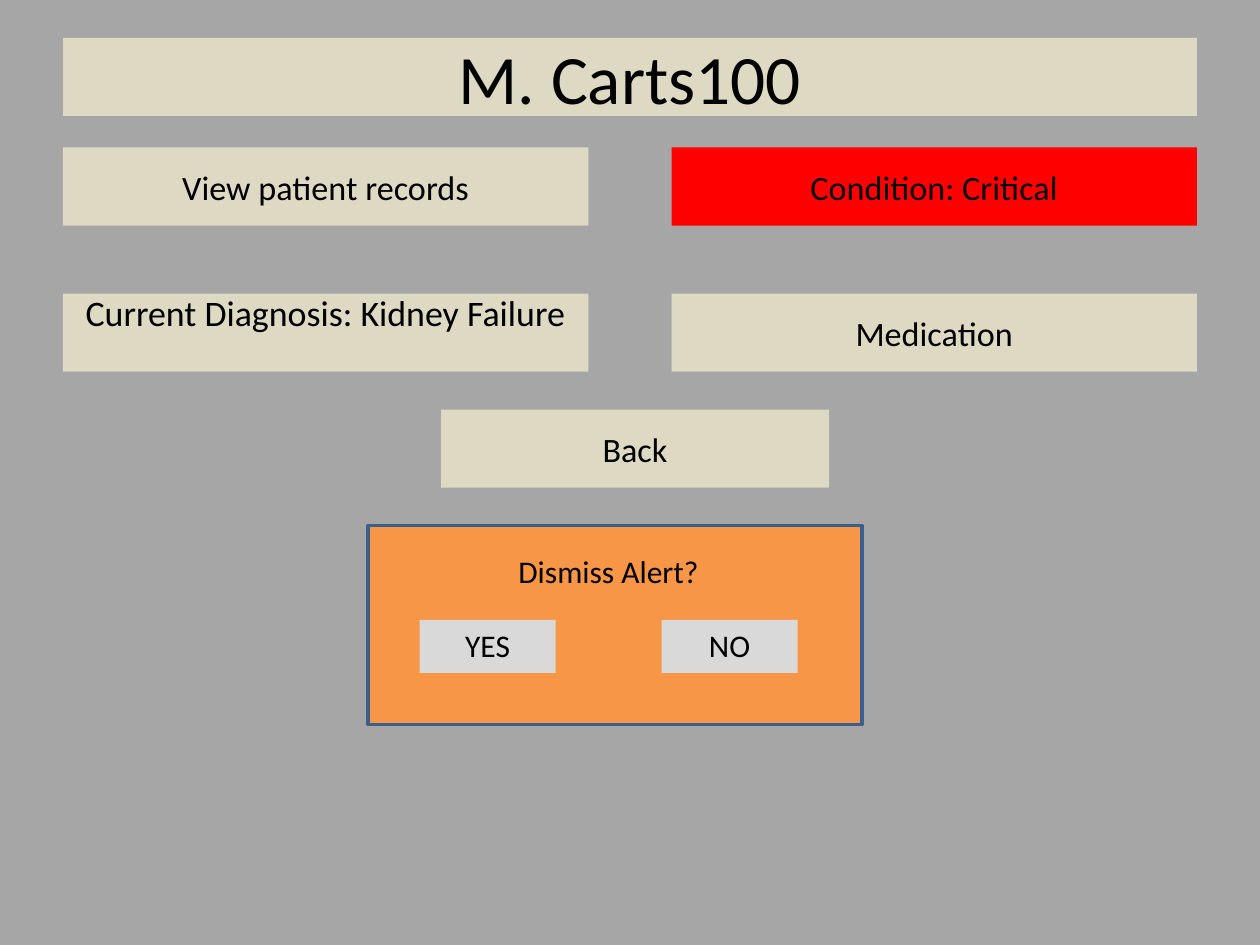
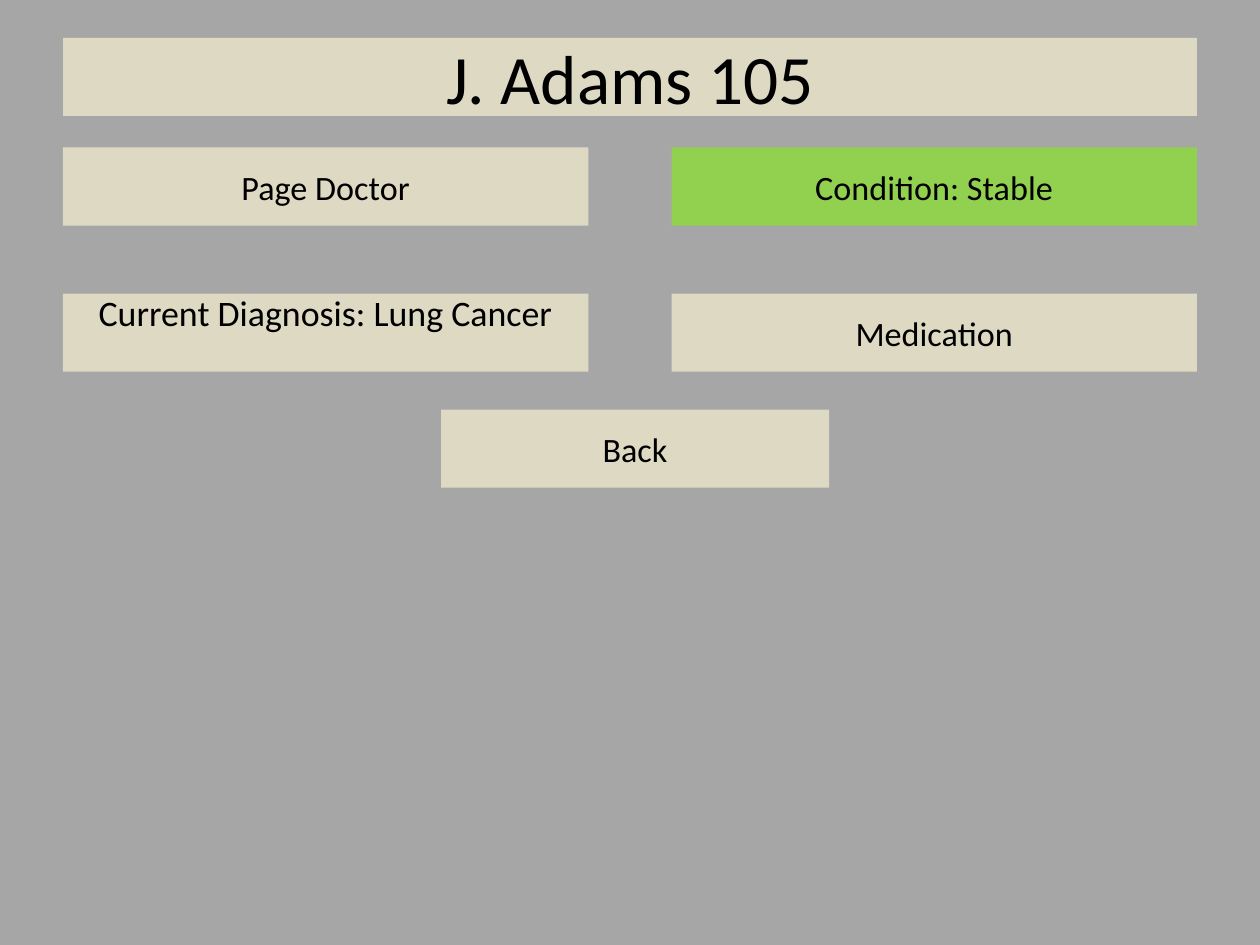
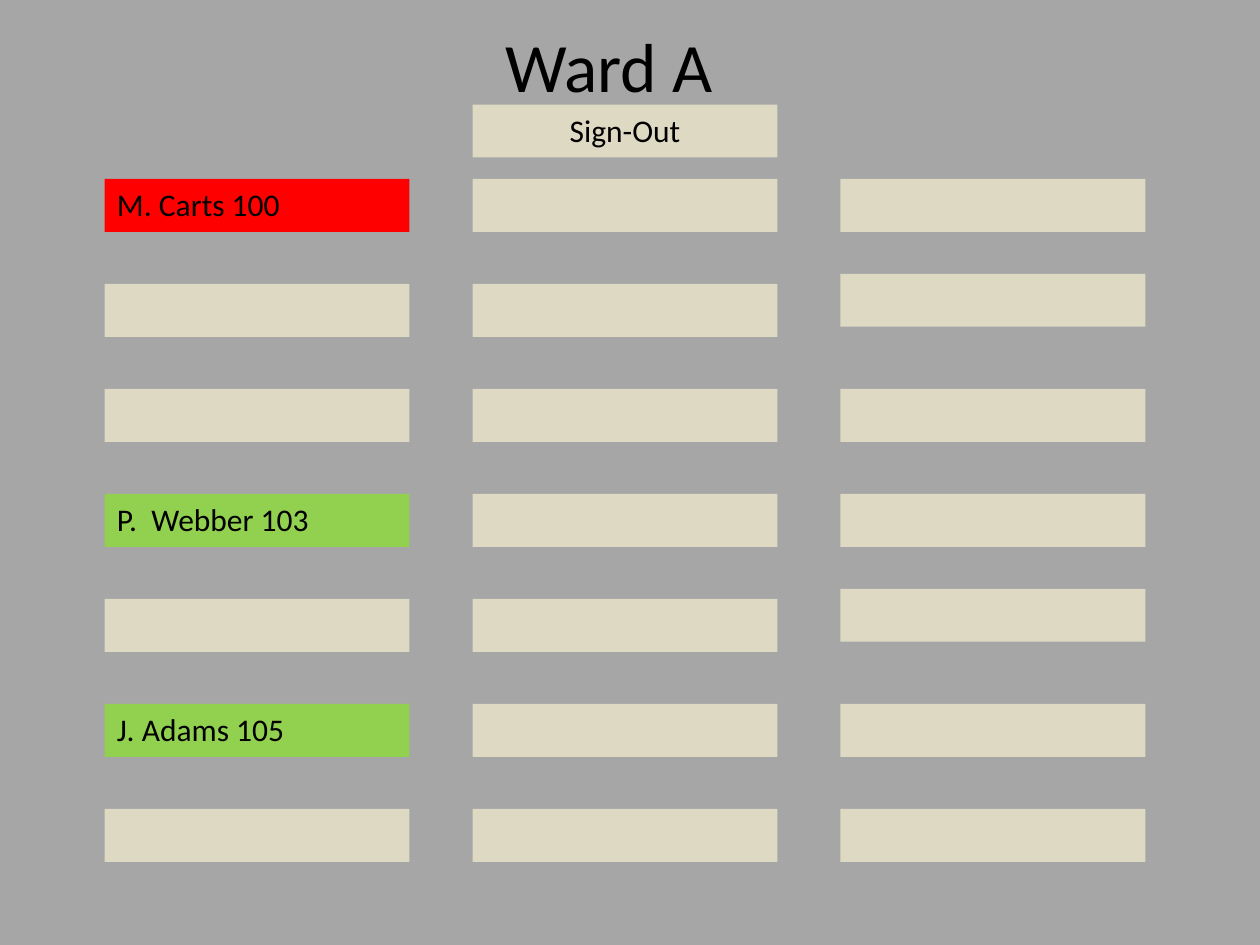
import pptx
import pptx.dml.color
import pptx.enum.shapes
import pptx.enum.text
import pptx.util

Inches = pptx.util.Inches
Anchor = pptx.enum.text.MSO_ANCHOR
Align = pptx.enum.text.PP_ALIGN
AutoSize = pptx.enum.text.MSO_AUTO_SIZE

# Shared look
BACKGROUND, PANEL, TEXT = "A6A6A6", "DDD9C3", "000000"
CRITICAL, STABLE = "FF0000", "92D050"
ALERT, ALERT_BORDER, ALERT_BUTTON = "F79646", "3A5F8C", "D9D9D9"
FONT = "Calibri"
TITLE_SIZE, MENU_SIZE, DIAGNOSIS_SIZE, LABEL_SIZE = 39.6, 19.5, 20.5, 18
BUTTON_HEIGHT = 0.62
LABEL_HEIGHT = 0.42
LABEL_FRAME = {"vertical_anchor": Anchor.TOP, "auto_size": AutoSize.SHAPE_TO_FIT_TEXT}
# Lifts the diagnosis line to the upper half of its button
DIAGNOSIS_FRAME = {"margin_top": 0, "margin_bottom": Inches(0.33)}


def color(value):
    return pptx.dml.color.RGBColor.from_string(value)


def paint(fill, value):
    fill.solid()
    fill.fore_color.rgb = color(value)


def set_attributes(target, values):
    for name, value in values.items():
        setattr(target, name, value)


def write(shape, text, size, align=Align.CENTER, frame_format=None):
    frame = shape.text_frame
    set_attributes(frame, {"word_wrap": True, "vertical_anchor": Anchor.MIDDLE,
                           "auto_size": AutoSize.NONE, **(frame_format or {})})
    paragraph = frame.paragraphs[0]
    paragraph.alignment = align
    run = paragraph.add_run()
    run.text = text
    set_attributes(run.font, {"name": FONT, "size": pptx.util.Pt(size)})
    run.font.color.rgb = color(TEXT)


def add_panel(slide, box, fill, border=None):
    shape = slide.shapes.add_shape(pptx.enum.shapes.MSO_SHAPE.RECTANGLE, *map(Inches, box))
    shape.shadow.inherit = False
    paint(shape.fill, fill)
    if border:
        shape.line.color.rgb = color(border)
        shape.line.width = pptx.util.Pt(2)
    else:
        shape.line.fill.background()
    return shape


def add_button(slide, box, text, fill=PANEL, size=MENU_SIZE, **text_format):
    write(add_panel(slide, box, fill), text, size, **text_format)


def add_titled_slide(presentation, title, box, fill=None):
    slide = presentation.slides.add_slide(presentation.slide_layouts.get_by_name("Title Only"))
    shape = slide.shapes.title
    for name, length in zip(("left", "top", "width", "height"), box):
        setattr(shape, name, Inches(length))
    if fill:
        paint(shape.fill, fill)
    write(shape, title, TITLE_SIZE)
    return slide


# Two columns of patient options with a back button below
def add_patient_menu(slide, box, first_action, diagnosis, condition, condition_fill):
    left, top, width, row_step = box
    button_width = 4.17
    right = left + width - button_width
    second_row = top + row_step
    add_button(slide, (left, top, button_width, BUTTON_HEIGHT), first_action)
    add_button(slide, (right, top, button_width, BUTTON_HEIGHT),
               f"Condition: {condition}", condition_fill)
    add_button(slide, (left, second_row, button_width, BUTTON_HEIGHT),
               f"Current Diagnosis: {diagnosis}", size=DIAGNOSIS_SIZE,
               frame_format=DIAGNOSIS_FRAME)
    add_button(slide, (right, second_row, button_width, BUTTON_HEIGHT), "Medication")
    add_button(slide, (left + 3, second_row + 0.92, 3.08, BUTTON_HEIGHT), "Back")


def add_patient_slide(presentation, patient, **details):
    slide = add_titled_slide(presentation, patient, (0.5, 0.3, 9, BUTTON_HEIGHT), PANEL)
    add_patient_menu(slide, (0.5, 1.17, 9, 1.16), **details)
    return slide


# Alert dialog with its question and two answers
def add_alert(slide, box):
    left, top = box[:2]
    add_panel(slide, box, ALERT, ALERT_BORDER)
    question_box = (left + 0.41, top + 0.16, 3, LABEL_HEIGHT)
    question = slide.shapes.add_textbox(*map(Inches, question_box))
    write(question, "Dismiss Alert?", LABEL_SIZE, frame_format=LABEL_FRAME)
    for offset, answer in ((0.41, "YES"), (2.33, "NO")):
        add_button(slide, (left + offset, top + 0.75, 1.08, LABEL_HEIGHT), answer,
                   ALERT_BUTTON, LABEL_SIZE, frame_format=LABEL_FRAME)


# Grid of beds: three columns of seven
def add_bed_grid(slide, box, patients):
    left, top, width, height = box
    bed_width = 2.42
    column_step = (width - bed_width) / 2
    row_step = (height - LABEL_HEIGHT) / 6
    raised_beds = {(2, 1), (2, 4)}
    for column in range(3):
        for row in range(7):
            lift = 0.08 if (column, row) in raised_beds else 0
            bed_box = (left + column * column_step, top + row * row_step - lift,
                       bed_width, LABEL_HEIGHT)
            if (column, row) in patients:
                patient, fill = patients[column, row]
                add_button(slide, bed_box, patient, fill, LABEL_SIZE,
                           align=Align.LEFT, frame_format=LABEL_FRAME)
            else:
                add_panel(slide, bed_box, PANEL)


def add_ward_slide(presentation):
    slide = add_titled_slide(presentation, "Ward A", (0.5, 0.25, 8.67, 0.53))
    add_button(slide, (3.75, 0.83, 2.42, LABEL_HEIGHT), "Sign-Out", size=LABEL_SIZE,
               frame_format=LABEL_FRAME)
    add_bed_grid(slide, (0.83, 1.42, 8.26, 5.42), {
        (0, 0): ("M. Carts 100", CRITICAL),
        (0, 3): ("P.  Webber 103", STABLE),
        (0, 5): ("J. Adams 105", STABLE),
    })


def main():
    presentation = pptx.Presentation()
    presentation.slide_width, presentation.slide_height = Inches(10), Inches(7.5)
    paint(presentation.slide_master.background.fill, BACKGROUND)

    critical_slide = add_patient_slide(
        presentation, "M. Carts100", first_action="View patient records",
        diagnosis="Kidney Failure", condition="Critical", condition_fill=CRITICAL)
    add_alert(critical_slide, (2.92, 4.17, 3.92, 1.58))
    add_patient_slide(
        presentation, "J. Adams 105", first_action="Page Doctor",
        diagnosis="Lung Cancer", condition="Stable", condition_fill=STABLE)
    add_ward_slide(presentation)
    presentation.save("out.pptx")


if __name__ == "__main__":
    main()
